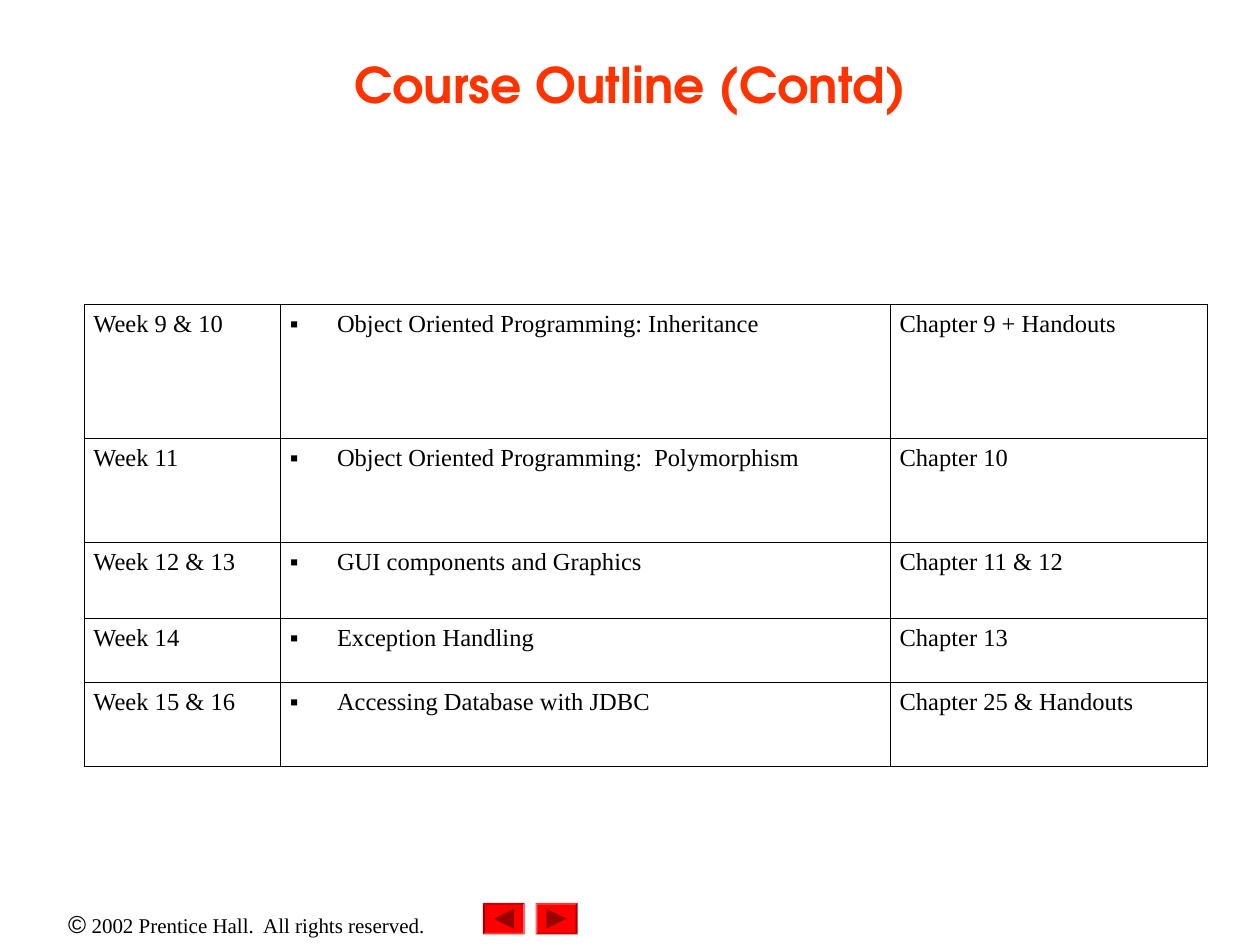
from dataclasses import dataclass

from lxml.etree import SubElement
from pptx import Presentation
from pptx.dml.color import RGBColor
from pptx.enum.shapes import MSO_SHAPE as Shape
from pptx.enum.text import MSO_ANCHOR as Anchor, PP_ALIGN as Align
from pptx.oxml.ns import qn
from pptx.util import Pt

COLORS = {"title": "FF3300", "text": "000000", "border": "000000",
          "button": "FF0000", "arrow": "990000"}
SERIF = "Times New Roman"


@dataclass
class Week:
    label: str
    topic: str
    reading: str
    height: float
    topic_alignment: Align = Align.JUSTIFY


@dataclass
class Button:
    left: float
    rotation: float
    arrow_rotation: float


WEEKS = [
    Week("Week 9 & 10", "Object Oriented Programming: Inheritance",
         "Chapter 9 + Handouts", 76.3),
    Week("Week 11", "Object Oriented Programming:  Polymorphism",
         "Chapter 10", 59.8, Align.LEFT),
    Week("Week 12 & 13", "GUI components and Graphics", "Chapter 11 & 12", 43.2),
    Week("Week 14", "Exception Handling", "Chapter 13", 36.7),
    Week("Week 15 & 16", "Accessing Database with JDBC",
         "Chapter 25 & Handouts", 48.2),
]
COLUMN_WIDTHS = [112.2, 348.5, 181.3]
BUTTONS = [Button(306, 0, 90), Button(276, 180, 270)]


def rgb(name: str) -> RGBColor:
    return RGBColor.from_string(COLORS[name])


def add_text(paragraph, text: str, *, size: float = 14, font: str = SERIF,
             color: str = "text", bold: bool = False,
             alignment: Align = Align.JUSTIFY) -> None:
    paragraph.alignment = alignment
    run = paragraph.add_run()
    run.text = text
    run.font.size = Pt(size)
    run.font.name = font
    run.font.bold = bold
    run.font.color.rgb = rgb(color)


def add_bullet(paragraph, indent: float = 27) -> None:
    properties = paragraph._p.get_or_add_pPr()
    properties.set("marL", str(Pt(indent)))
    properties.set("indent", str(-Pt(indent)))
    bullet_color = SubElement(properties, qn("a:buClr"))
    SubElement(bullet_color, qn("a:srgbClr"), val=COLORS["text"])
    SubElement(properties, qn("a:buFont"), typeface=SERIF)
    SubElement(properties, qn("a:buChar"), char="▪")


def format_cell(cell) -> None:
    cell.margin_left = cell.margin_right = Pt(5.4)
    cell.margin_top = cell.margin_bottom = Pt(3.6)
    properties = cell._tc.get_or_add_tcPr()
    for side in ("lnL", "lnR", "lnT", "lnB"):
        line = SubElement(properties, qn(f"a:{side}"), w=str(Pt(0.45)))
        fill = SubElement(line, qn("a:solidFill"))
        SubElement(fill, qn("a:srgbClr"), val=COLORS["border"])
    cell.fill.background()


def add_plain_shape(slide, kind: Shape, left: float, top: float, width: float,
                    height: float, color: str, rotation: float):
    shape = slide.shapes.add_shape(kind, Pt(left), Pt(top), Pt(width), Pt(height))
    shape.shadow.inherit = False
    shape.fill.solid()
    shape.fill.fore_color.rgb = rgb(color)
    shape.line.fill.background()
    shape.rotation = rotation
    return shape


def add_button(slide, button: Button) -> None:
    top, width, height, arrow = 516, 24, 18, 11.5
    bevel = add_plain_shape(slide, Shape.BEVEL, button.left, top, width, height,
                            "button", button.rotation)
    bevel.adjustments[0] = 0.06
    add_plain_shape(slide, Shape.ISOSCELES_TRIANGLE,
                    button.left + (width - arrow) / 2, top + (height - arrow) / 2,
                    arrow, arrow, "arrow", button.arrow_rotation)


def add_schedule(slide) -> None:
    table = slide.shapes.add_table(
        len(WEEKS), len(COLUMN_WIDTHS), Pt(48), Pt(174), Pt(sum(COLUMN_WIDTHS)),
        Pt(sum(week.height for week in WEEKS))).table
    table.first_row = table.horz_banding = False
    for column, width in zip(table.columns, COLUMN_WIDTHS):
        column.width = Pt(width)
    for row, week in zip(table.rows, WEEKS):
        row.height = Pt(week.height)
        label, topic, reading = row.cells
        for cell in (label, topic, reading):
            format_cell(cell)
        add_bullet(topic.text_frame.paragraphs[0])
        add_text(label.text_frame.paragraphs[0], week.label)
        add_text(topic.text_frame.paragraphs[0], week.topic,
                 alignment=week.topic_alignment)
        add_text(reading.text_frame.paragraphs[0], week.reading)


def main() -> None:
    presentation = Presentation()
    presentation.slide_width, presentation.slide_height = Pt(720), Pt(540)
    slide = presentation.slides.add_slide(presentation.slide_layouts[5])

    # Copyright line
    box = slide.shapes.add_textbox(Pt(0), Pt(516), Pt(282), Pt(24.5))
    box.text_frame.word_wrap = True
    paragraph = box.text_frame.paragraphs[0]
    add_text(paragraph, "©", font="Arial", alignment=Align.CENTER)
    add_text(paragraph, " 2002 Prentice Hall.  All rights reserved.", size=12,
             alignment=Align.CENTER)

    # Navigation buttons
    for button in BUTTONS:
        add_button(slide, button)

    # Title
    title = slide.shapes.title
    title.left, title.top, title.width, title.height = Pt(54), Pt(6), Pt(612), Pt(84)
    title.text_frame.vertical_anchor = Anchor.MIDDLE
    add_text(title.text_frame.paragraphs[0], "Course Outline (Contd)", size=28,
             font="TeX Gyre Adventor", color="title", bold=True,
             alignment=Align.CENTER)

    # Weekly schedule
    add_schedule(slide)
    presentation.save("out.pptx")


if __name__ == "__main__":
    main()
